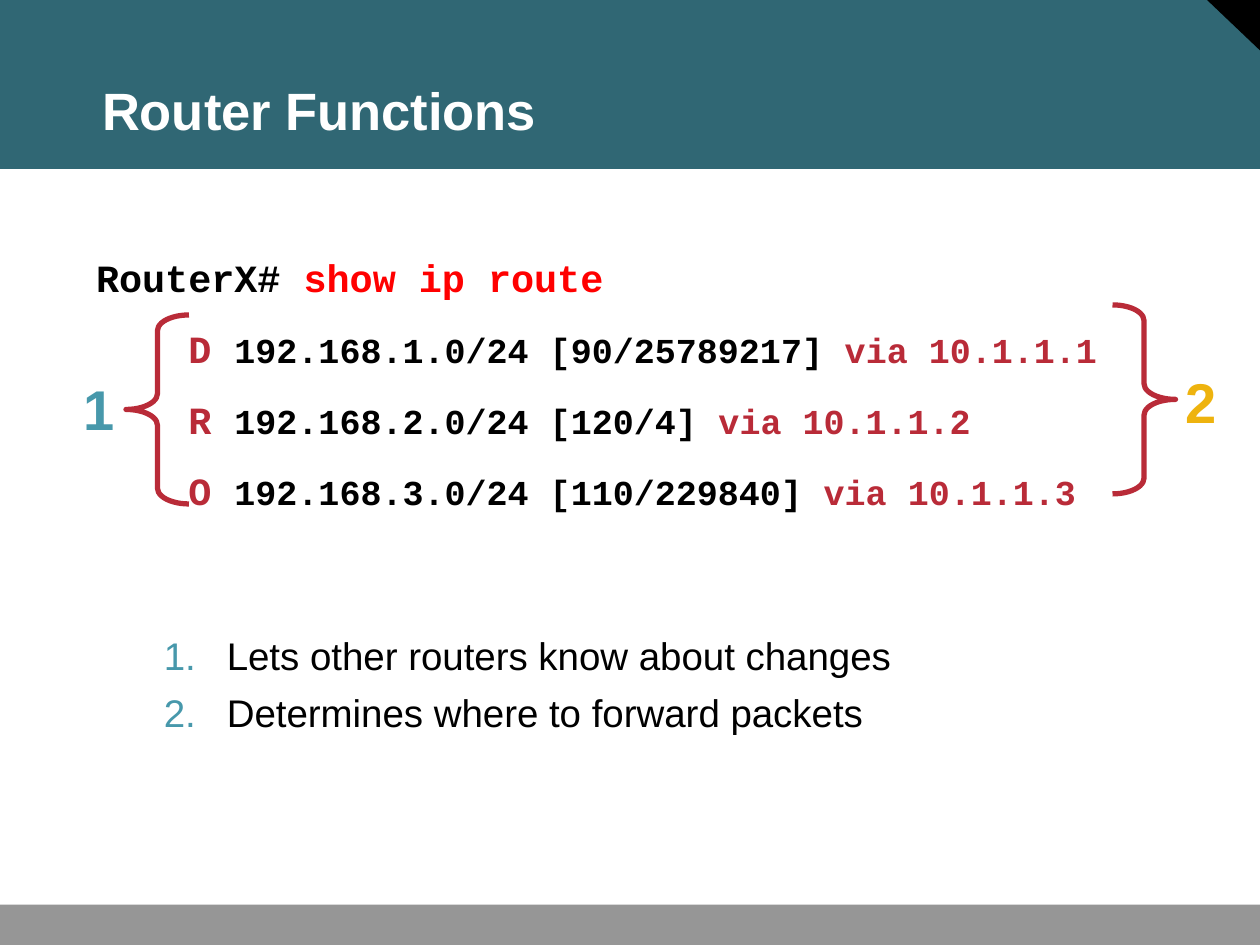
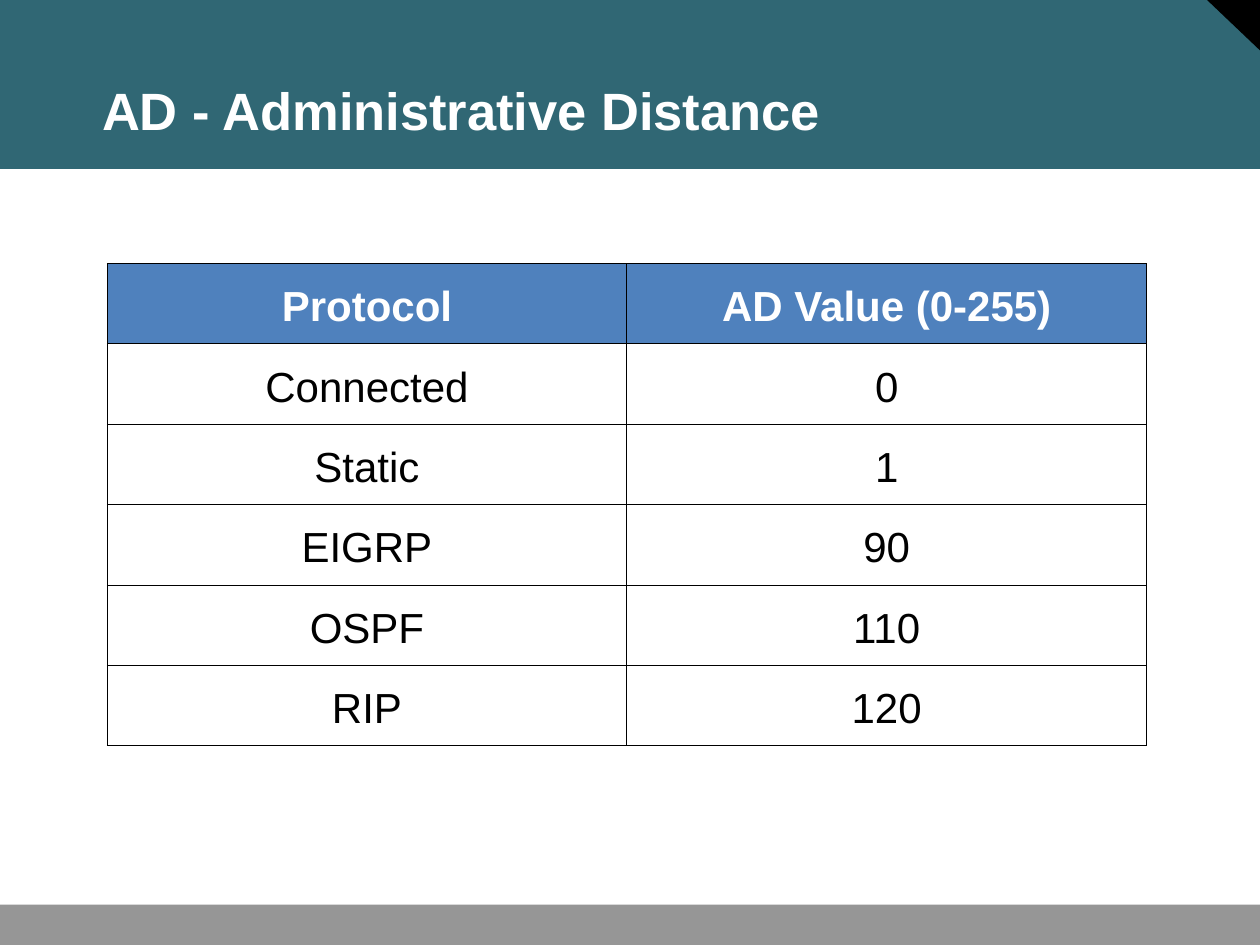
from lxml.etree import SubElement
from pptx import Presentation
from pptx.dml.color import RGBColor
from pptx.enum.shapes import MSO_SHAPE as Preset
from pptx.enum.text import MSO_ANCHOR as Anchor, MSO_AUTO_SIZE as AutoSize, PP_ALIGN as Align
from pptx.oxml.ns import qn
from pptx.util import Inches, Pt

TEAL = RGBColor(0x30, 0x67, 0x74)
LIGHT_TEAL = RGBColor(0x47, 0x98, 0xAB)
GRAY = RGBColor(0x96, 0x96, 0x96)
BLUE = RGBColor(0x4F, 0x81, 0xBD)
CRIMSON = RGBColor(0xB9, 0x2B, 0x38)
RED = RGBColor(0xFF, 0x00, 0x00)
GOLD = RGBColor(0xEE, 0xB3, 0x0E)
BLACK = RGBColor(0x00, 0x00, 0x00)
WHITE = RGBColor(0xFF, 0xFF, 0xFF)

TITLE_FONT = {"name": "Arial", "size": Pt(30), "bold": True}
LABEL_FONT = {"name": "Arial", "size": Pt(32), "bold": True}
LIST_FONT = {"name": "Arial", "size": Pt(22), "bold": False}
HEADER_FONT = {"name": "Arial", "size": Pt(24), "bold": True}
CELL_FONT = {**HEADER_FONT, "bold": False}
CODE_FONT = {"name": "Courier New", "size": Pt(22), "bold": True}
SMALL_CODE_FONT = {**CODE_FONT, "size": Pt(20)}

ROUTES = [
    ("D ", "192.168.1.0/24 [90/25789217] ", "via 10.1.1.1"),
    ("R ", "192.168.2.0/24 [120/4] ", "via 10.1.1.2"),
    ("O ", "192.168.3.0/24 [110/229840] ", "via 10.1.1.3"),
]
ROUTER_TASKS = ["Lets other routers know about changes", "Determines where to forward packets"]
DISTANCES = [
    ("Protocol", "AD Value (0-255)"),
    ("Connected", "0"),
    ("Static", "1"),
    ("EIGRP", "90"),
    ("OSPF", "110"),
    ("RIP", "120"),
]


def apply(target, values):
    for name, value in values.items():
        setattr(target, name, value)


def place(shape, left, top, width, height):
    sides = ("left", "top", "width", "height")
    apply(shape, dict(zip(sides, map(Inches, (left, top, width, height)))))


def set_frame(frame, side, edge, anchor=Anchor.TOP):
    apply(frame, {
        "word_wrap": True, "auto_size": AutoSize.NONE, "vertical_anchor": anchor,
        "margin_left": Inches(side), "margin_right": Inches(side),
        "margin_top": Inches(edge), "margin_bottom": Inches(edge),
    })


def add_span(para, text, font, color):
    span = para.add_run()
    span.text = text
    apply(span.font, font)
    span.font.color.rgb = color


def add_preset(page, preset, at):
    shape = page.shapes.add_shape(preset, *map(Inches, at))
    shape.shadow.inherit = False
    return shape


def add_master_bands(deck, page):
    bands = [
        (Preset.RECTANGLE, (0, 0, 10, 1.34), 0, TEAL),
        (Preset.RIGHT_TRIANGLE, (9.58, 0, 0.42, 0.4), 180, BLACK),
        (Preset.RECTANGLE, (0, 7.18, 10, 0.32), 0, GRAY),
    ]
    tree = deck.slide_master.element.cSld.spTree
    for index, (preset, at, rotation, color) in enumerate(bands):
        band = add_preset(page, preset, at)
        band.rotation = rotation
        band.fill.solid()
        band.fill.fore_color.rgb = color
        band.line.fill.background()
        band.element.nvSpPr.cNvPr.set("id", str(100 + index))
        tree.insert(2 + index, band.element)


def set_title(page, text):
    title = page.shapes.title
    place(title, 0.72, 0.25, 8.91, 0.92)
    set_frame(title.text_frame, 0.09, 0.04, Anchor.BOTTOM)
    para = title.text_frame.paragraphs[0]
    apply(para, {"alignment": Align.LEFT, "line_spacing": 0.9})
    add_span(para, text, TITLE_FONT, WHITE)


def add_text_box(page, *at):
    box = page.shapes.add_textbox(*map(Inches, at))
    set_frame(box.text_frame, 0.08, 0.04)
    return box.text_frame


def add_route_listing(page):
    frame = add_text_box(page, 0.5, 1.98, 9.33, 2.07)
    prompt = frame.paragraphs[0]
    add_span(prompt, " RouterX# ", CODE_FONT, BLACK)
    add_span(prompt, "show ip route", CODE_FONT, RED)
    for code, network, next_hop in ROUTES:
        para = frame.add_paragraph()
        para.space_before = Pt(14)
        add_span(para, "     " + code, CODE_FONT, CRIMSON)
        add_span(para, network, SMALL_CODE_FONT, BLACK)
        add_span(para, next_hop, SMALL_CODE_FONT, CRIMSON)


def add_brace(page, preset, left, top):
    brace = add_preset(page, preset, (left, top, 0.5, 1.5))
    brace.adjustments[0] = 0.25
    brace.fill.background()
    brace.line.color.rgb = CRIMSON
    brace.line.width = Pt(3)


def add_label(page, text, left, top, color):
    frame = add_text_box(page, left, top, 0.42, 0.61)
    add_span(frame.paragraphs[0], text, LABEL_FONT, color)


def number_paragraph(para, color):
    properties = para._p.get_or_add_pPr()
    properties.set("marL", str(Inches(0.63)))
    properties.set("indent", str(Inches(-0.5)))
    bullet_color = SubElement(properties, qn("a:buClr"))
    SubElement(bullet_color, qn("a:srgbClr"), val=str(color))
    SubElement(properties, qn("a:buFont"), typeface="Arial")
    SubElement(properties, qn("a:buAutoNum"), type="arabicPeriod")


def fill_numbered_list(page, items):
    body = page.placeholders[1]
    place(body, 1.08, 5.02, 7.75, 1.17)
    frame = body.text_frame
    set_frame(frame, 0.09, 0.05)
    for index, item in enumerate(items):
        para = frame.add_paragraph() if index else frame.paragraphs[0]
        number_paragraph(para, LIGHT_TEAL)
        apply(para, {"line_spacing": 0.85, "space_before": Pt(10.5 if index else 0)})
        add_span(para, item, LIST_FONT, BLACK)


def add_cell_borders(cell):
    properties = cell._tc.get_or_add_tcPr()
    for index, side in enumerate(("lnL", "lnR", "lnT", "lnB")):
        border = properties.makeelement(qn("a:" + side), {"w": str(Pt(0.45))})
        fill = SubElement(border, qn("a:solidFill"))
        SubElement(fill, qn("a:srgbClr"), val=str(BLACK))
        properties.insert(index, border)


def fill_cell(cell, text, is_header):
    apply(cell, {
        "vertical_anchor": Anchor.MIDDLE,
        "margin_left": Inches(0.08), "margin_right": Inches(0.08),
        "margin_top": Inches(0.05), "margin_bottom": Inches(0.05),
    })
    if is_header:
        cell.fill.solid()
        cell.fill.fore_color.rgb = BLUE
    else:
        cell.fill.background()
    add_cell_borders(cell)
    para = cell.text_frame.paragraphs[0]
    apply(para, {
        "alignment": Align.CENTER, "line_spacing": 1.15,
        "space_before": Pt(0), "space_after": Pt(3),
    })
    font, color = (HEADER_FONT, WHITE) if is_header else (CELL_FONT, BLACK)
    add_span(para, text, font, color)


def add_distance_table(page):
    at = map(Inches, (0.85, 2.09, 8.25, 3.83))
    table = page.shapes.add_table(len(DISTANCES), 2, *at).table
    apply(table, {"first_row": False, "horz_banding": False})
    for row, values in enumerate(DISTANCES):
        for column, text in enumerate(values):
            fill_cell(table.cell(row, column), text, row == 0)


def build_router_page(page):
    set_title(page, "Router Functions")
    add_route_listing(page)
    add_brace(page, Preset.LEFT_BRACE, 1, 2.5)
    add_brace(page, Preset.RIGHT_BRACE, 8.83, 2.42)
    add_label(page, "1", 0.58, 2.93, LIGHT_TEAL)
    add_label(page, "2", 9.33, 2.88, GOLD)
    fill_numbered_list(page, ROUTER_TASKS)


def build_distance_page(page):
    set_title(page, "AD - Administrative Distance")
    add_distance_table(page)


def main():
    deck = Presentation()
    apply(deck, {"slide_width": Inches(10), "slide_height": Inches(7.5)})
    router_page = deck.slides.add_slide(deck.slide_layouts[1])
    distance_page = deck.slides.add_slide(deck.slide_layouts[5])
    add_master_bands(deck, router_page)
    build_router_page(router_page)
    build_distance_page(distance_page)
    deck.save("out.pptx")


if __name__ == "__main__":
    main()
